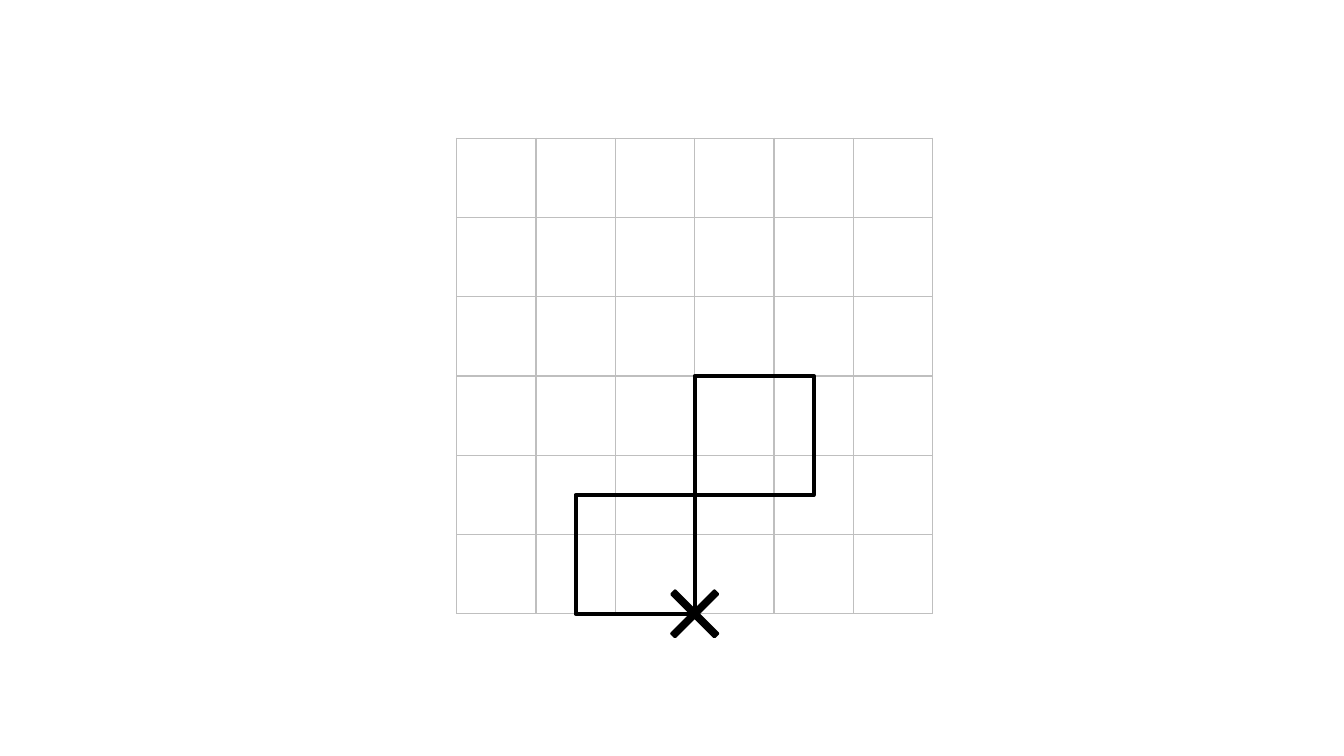
"""Build a slide with a square grid, two linked squares and a cross at the start point."""
from lxml.etree import SubElement
from pptx import Presentation
from pptx.dml.color import RGBColor
from pptx.enum.shapes import MSO_SHAPE
from pptx.oxml.ns import qn
from pptx.util import Inches, Pt

COLORS = {"grid": "BFBFBF", "ink": "000000"}
GRID_COUNT = 6
SQUARE_CELLS = 1.5
SQUARES = [(3, 3), (1.5, 4.5)]
CROSS_CENTER = (3, 6)

GRID_LEFT, GRID_TOP, GRID_SIZE = 4.53, 1.37, 4.72
CELL_SIZE = GRID_SIZE / GRID_COUNT
CROSS_SIZE = 0.6


def grid_point(column, row):
    return GRID_LEFT + column * CELL_SIZE, GRID_TOP + row * CELL_SIZE


def add_border(cell, side):
    line = SubElement(cell._tc.get_or_add_tcPr(), qn(f"a:{side}"), w=str(Pt(1)))
    fill = SubElement(line, qn("a:solidFill"))
    SubElement(fill, qn("a:srgbClr"), val=COLORS["grid"])


def add_grid(page):
    frame = page.shapes.add_table(
        GRID_COUNT, GRID_COUNT, *map(Inches, (GRID_LEFT, GRID_TOP, GRID_SIZE, GRID_SIZE)))
    table = frame.table
    table.first_row = table.horz_banding = False
    for track in [*table.columns]:
        track.width = Inches(CELL_SIZE)
    for track in [*table.rows]:
        track.height = Inches(CELL_SIZE)
    for cell in table.iter_cells():
        for side in ("lnL", "lnR", "lnT", "lnB"):
            add_border(cell, side)
        cell.fill.background()


def add_outline(page, kind, left, top, size, weight):
    shape = page.shapes.add_shape(kind, *map(Inches, (left, top, size, size)))
    shape.shadow.inherit = False
    shape.fill.background()
    shape.line.color.rgb = RGBColor.from_string(COLORS["ink"])
    shape.line.width = Pt(weight)
    return shape


def add_cross(page):
    center_x, center_y = grid_point(*CROSS_CENTER)
    half = CROSS_SIZE / 2
    cross = add_outline(page, MSO_SHAPE.CROSS, center_x - half, center_y - half, CROSS_SIZE, 2)
    cross.adjustments[0] = 0.46
    cross.rotation = 45
    cross.fill.solid()
    cross.fill.fore_color.rgb = RGBColor.from_string(COLORS["ink"])


deck = Presentation()
deck.slide_width, deck.slide_height = Inches(13.33), Inches(7.5)
page = deck.slides.add_slide(deck.slide_layouts[6])
add_grid(page)
add_cross(page)
for column, row in SQUARES:
    add_outline(page, MSO_SHAPE.RECTANGLE, *grid_point(column, row), SQUARE_CELLS * CELL_SIZE, 3)
deck.save("out.pptx")
